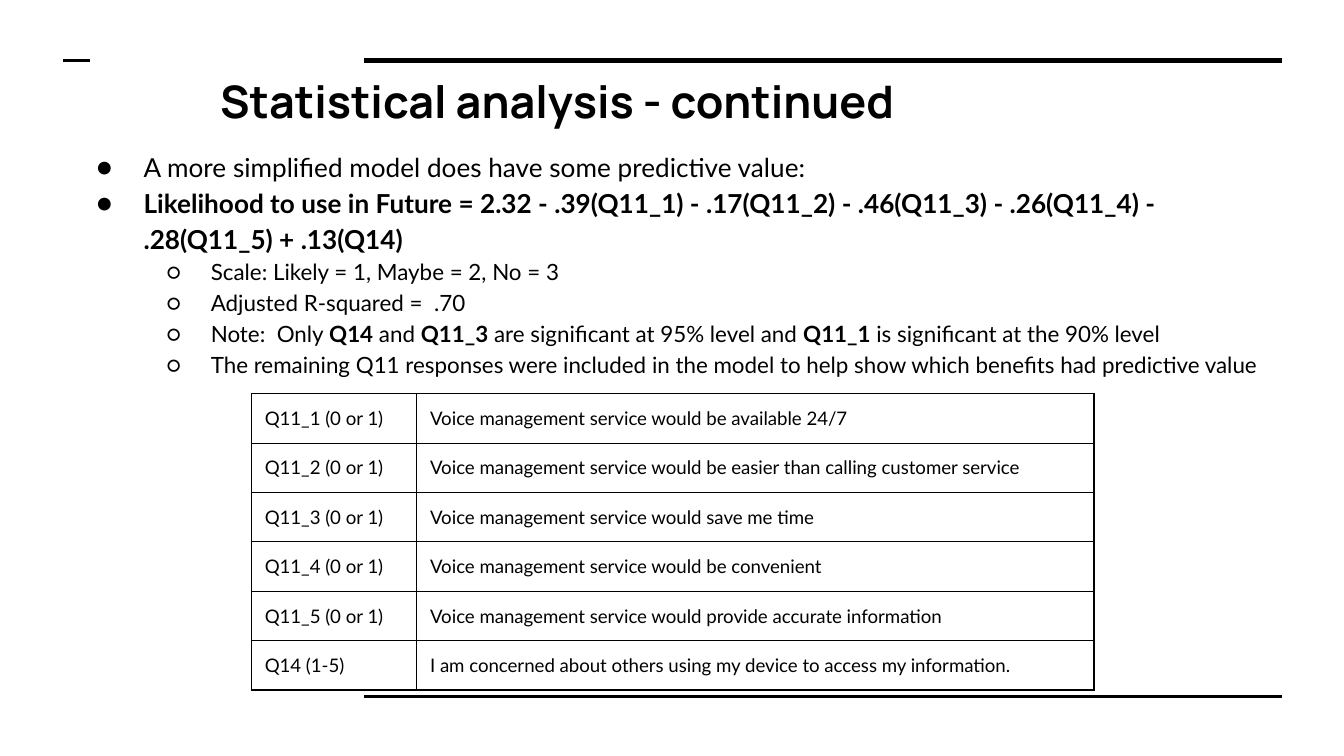
from lxml.etree import SubElement
from pptx import Presentation
from pptx.dml.color import RGBColor
from pptx.enum.shapes import MSO_CONNECTOR
from pptx.oxml.ns import qn
from pptx.util import Inches, Pt

BLACK = RGBColor(0x00, 0x00, 0x00)
HEADING_FONT, BODY_FONT = "Manrope", "Lato"

TITLE = "Statistical analysis - continued"
RULES = [(2.71, 9.54, 0.45, 3), (2.71, 9.54, 5.18, 1.5), (0.47, 0.67, 0.45, 1.5)]
LEVELS = [
    {"size": 14, "bullet": "●", "margin": 0.5, "hanging": 0.35},
    {"size": 12, "bullet": "○", "margin": 1, "hanging": 0.33},
]
FINDINGS = [
    (0, [("A more simplified model does have some predictive value:", False)]),
    (0, [("Likelihood to use in Future = 2.32 - .39(Q11_1) - .17(Q11_2) - .46(Q11_3)"
          " - .26(Q11_4) - .28(Q11_5) + .13(Q14)", True)]),
    (1, [("Scale: Likely = 1, Maybe = 2, No = 3", False)]),
    (1, [("Adjusted R-squared =  .70", False)]),
    (1, [("Note:  Only ", False), ("Q14", True), (" and ", False), ("Q11_3", True),
         (" are significant at 95% level and ", False), ("Q11_1", True),
         (" is significant at the 90% level", False)]),
    (1, [("The remaining Q11 responses were included in the model to help show"
          " which benefits had predictive value", False)]),
]
QUESTIONS = [
    ("Q11_1 (0 or 1)", "Voice management service would be available 24/7"),
    ("Q11_2 (0 or 1)", "Voice management service would be easier than calling customer service"),
    ("Q11_3 (0 or 1)", "Voice management service would save me time"),
    ("Q11_4 (0 or 1)", "Voice management service would be convenient"),
    ("Q11_5 (0 or 1)", "Voice management service would provide accurate information"),
    ("Q14 (1-5)", "I am concerned about others using my device to access my information."),
]
COLUMN_WIDTHS = [1.23, 5.04]
ROW_HEIGHT = 0.27


def set_insets(part):
    part.margin_left = part.margin_right = Inches(0.1)
    part.margin_top = part.margin_bottom = Inches(0.1)


def add_run(paragraph, text, font, size, bold=False):
    run = paragraph.add_run()
    run.text = text
    run.font.name = font
    run.font.size = Pt(size)
    run.font.bold = bold
    run.font.color.rgb = BLACK


def add_text_frame(slide, *box):
    frame = slide.shapes.add_textbox(*map(Inches, box)).text_frame
    frame.word_wrap = True
    set_insets(frame)
    return frame


def add_rule(slide, left, right, y, weight):
    rule = slide.shapes.add_connector(
        MSO_CONNECTOR.STRAIGHT, Inches(left), Inches(y), Inches(right), Inches(y))
    rule.line.color.rgb = BLACK
    rule.line.width = Pt(weight)
    SubElement(rule._element.spPr, qn("a:effectLst"))


def set_bullet(paragraph, level):
    properties = paragraph._p.get_or_add_pPr()
    properties.set("marL", str(Inches(level["margin"])))
    properties.set("indent", str(-Inches(level["hanging"])))
    color = SubElement(properties, qn("a:buClr"))
    SubElement(color, qn("a:srgbClr"), val=str(BLACK))
    SubElement(properties, qn("a:buFont"), typeface=BODY_FONT)
    SubElement(properties, qn("a:buChar"), char=level["bullet"])


def add_findings(slide):
    frame = add_text_frame(slide, 0.47, 0.99, 9.05, 1.87)
    for index, (depth, runs) in enumerate(FINDINGS):
        paragraph = frame.add_paragraph() if index else frame.paragraphs[0]
        paragraph.level = depth
        paragraph.line_spacing = 1.15
        set_bullet(paragraph, LEVELS[depth])
        for text, bold in runs:
            add_run(paragraph, text, BODY_FONT, LEVELS[depth]["size"], bold)


def set_borders(cell):
    properties = cell._tc.get_or_add_tcPr()
    for index, side in enumerate(("a:lnL", "a:lnR", "a:lnT", "a:lnB")):
        border = properties.makeelement(qn(side), {"w": str(Pt(0.75))})
        fill = SubElement(border, qn("a:solidFill"))
        SubElement(fill, qn("a:srgbClr"), val=str(BLACK))
        properties.insert(index, border)


def add_questions(slide):
    table = slide.shapes.add_table(
        len(QUESTIONS), len(COLUMN_WIDTHS), Inches(1.87), Inches(2.93),
        Inches(sum(COLUMN_WIDTHS)), Inches(ROW_HEIGHT * len(QUESTIONS))).table
    table.first_row = table.horz_banding = False
    for column, width in zip(table.columns, COLUMN_WIDTHS):
        column.width = Inches(width)
    for row, texts in zip(table.rows, QUESTIONS):
        row.height = Inches(ROW_HEIGHT)
        for cell, text in zip(row.cells, texts):
            set_insets(cell)
            cell.fill.background()
            set_borders(cell)
            add_run(cell.text_frame.paragraphs[0], text, BODY_FONT, 10)


def main():
    deck = Presentation()
    deck.slide_width, deck.slide_height = Inches(10), Inches(5.625)
    slide = deck.slides.add_slide(deck.slide_layouts[6])
    for rule in RULES:
        add_rule(slide, *rule)
    title = add_text_frame(slide, 1.54, 0.45, 6.91, 0.69)
    add_run(title.paragraphs[0], TITLE, HEADING_FONT, 24, True)
    add_findings(slide)
    add_questions(slide)
    deck.save("out.pptx")


if __name__ == "__main__":
    main()
